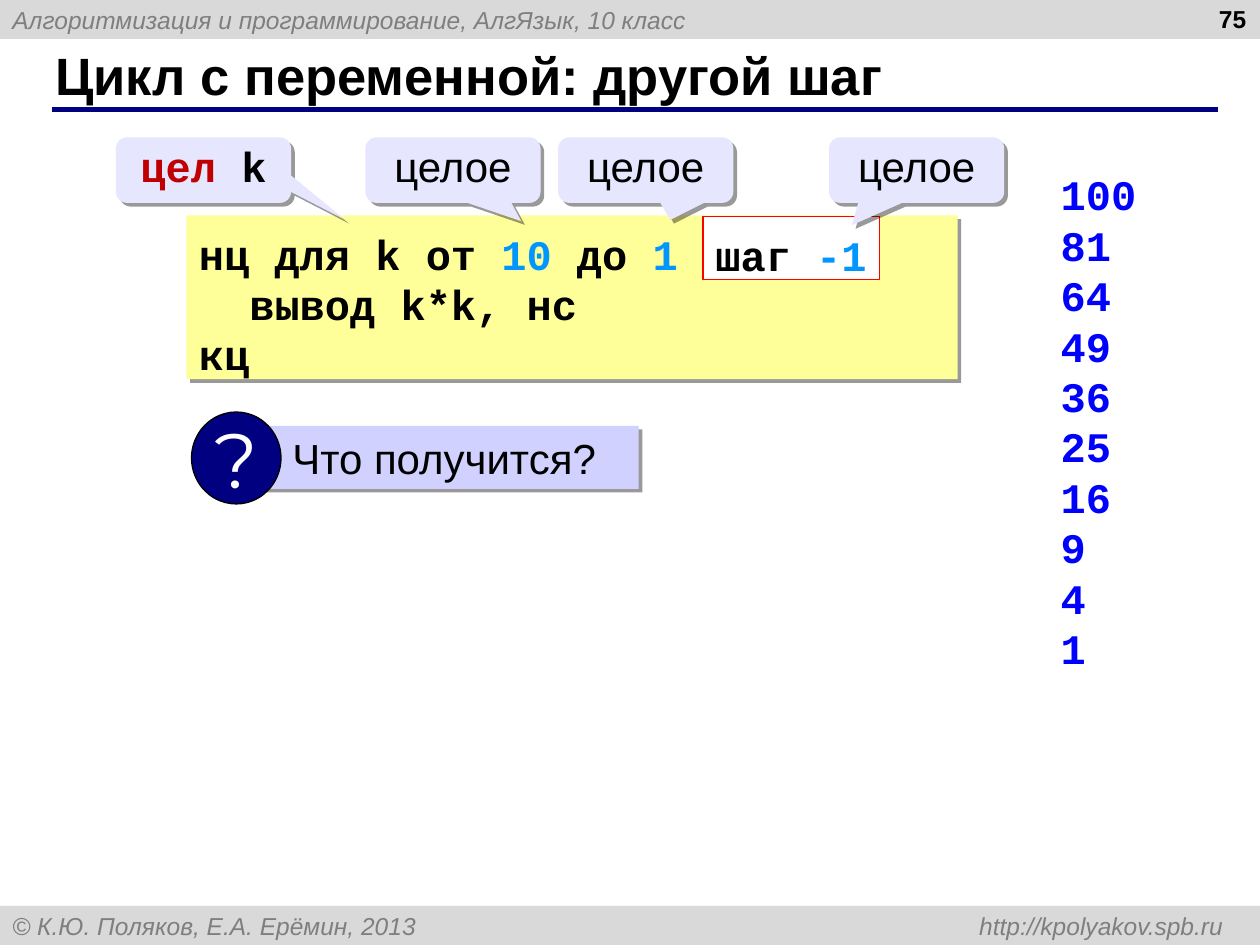
"""Build the slide about a counting loop with a negative step."""
from dataclasses import dataclass

import lxml.etree
import pptx
import pptx.dml.color
import pptx.enum.shapes
import pptx.enum.text
import pptx.oxml.ns
import pptx.util

Inches = pptx.util.Inches
Pt = pptx.util.Pt
Shape = pptx.enum.shapes.MSO_SHAPE
Align = pptx.enum.text.PP_ALIGN
Anchor = pptx.enum.text.MSO_ANCHOR
qn = pptx.oxml.ns.qn

BLACK, GREY, BAND, NAVY = "000000", "7F7F7F", "D9D9D9", "000080"
NUMBER, RESULT, KEYWORD = "0095FF", "0000FF", "C00000"


@dataclass(frozen=True)
class Style:
    size: float = 24
    name: str = "Arial"
    color: str = BLACK
    bold: bool = False
    italic: bool = False
    align: Align = Align.LEFT
    anchor: Anchor = Anchor.MIDDLE
    spacing: float | pptx.util.Length | None = None
    margins: tuple[float, float, float, float] = (0.1, 0.05, 0.1, 0.05)
    wrap: bool = True


@dataclass(frozen=True)
class Callout:
    left: float
    tip: tuple[float, float]
    runs: list[tuple[str, str]]
    style: Style


LINE = Pt(28.8)
CODE = Style(name="Courier New", bold=True, spacing=LINE, margins=(0.1, 0.1, 0.1, 0))
STEP = Style(name="Courier New", bold=True, spacing=LINE, margins=(0.1, 0.1, 0.1, 0),
             anchor=Anchor.TOP, wrap=False)
OUTPUT = Style(name="Courier New", color=RESULT, bold=True, spacing=LINE,
               margins=(0.1, 0.1, 0.1, 0), anchor=Anchor.TOP, wrap=False)
SMALL = Style(14, color=GREY, italic=True)
PAGE = Style(14, bold=True, align=Align.RIGHT, anchor=Anchor.TOP)
TITLE = Style(30, bold=True)
LABEL = Style(align=Align.CENTER, spacing=0.8)
CODE_LABEL = Style(name="Courier New", bold=True, align=Align.CENTER, spacing=0.8)
QUESTION = Style(margins=(0.29, 0.05, 0.1, 0.05))
MARK = Style(44, "Montserrat", "FFFFFF", align=Align.CENTER, wrap=False)

CALLOUTS = [
    Callout(0.92, (0.81, 0.76), [("цел ", KEYWORD), ("k", BLACK)], CODE_LABEL),
    Callout(2.9, (0.39, 0.78), [("целое", BLACK)], LABEL),
    Callout(4.43, (0.14, 0.76), [("целое", BLACK)], LABEL),
    Callout(6.58, (-0.37, 0.84), [("целое", BLACK)], LABEL),
]
LOOP = [
    [("нц для k от ", BLACK), ("10", NUMBER), (" до ", BLACK), ("1", NUMBER)],
    [("  вывод k*k, нс", BLACK)],
    [("кц", BLACK)],
]


def rgb(color: str) -> pptx.dml.color.RGBColor:
    """Turn a hex string into a colour."""
    return pptx.dml.color.RGBColor.from_string(color)


def plain(text: str, style: Style) -> list[list[tuple[str, str]]]:
    """Wrap one string as a single paragraph in the style's colour."""
    return [[(text, style.color)]]


def write(sp, paragraphs: list[list[tuple[str, str]]], style: Style, tab: float = 0) -> None:
    """Fill a shape with paragraphs of coloured runs."""
    tf = sp.text_frame
    tf.word_wrap = style.wrap
    tf.vertical_anchor = style.anchor
    tf.margin_left, tf.margin_top, tf.margin_right, tf.margin_bottom = map(Inches, style.margins)
    for i, runs in enumerate(paragraphs):
        p = tf.add_paragraph() if i else tf.paragraphs[0]
        p.alignment = style.align
        if style.spacing is not None:
            p.line_spacing = style.spacing
        if tab:
            tabs = lxml.etree.SubElement(p._p.get_or_add_pPr(), qn("a:tabLst"))
            lxml.etree.SubElement(tabs, qn("a:tab"), pos=str(Inches(tab)), algn="r")
        p.font.size, p.font.name = Pt(style.size), style.name
        p.font.bold, p.font.italic = style.bold, style.italic
        p.font.color.rgb = rgb(runs[0][1])
        for text, color in runs:
            r = p.add_run()
            r.text = text
            if color != runs[0][1]:
                r.font.color.rgb = rgb(color)


def add_shadow(sp) -> None:
    """Give a shape a hard translucent shadow to the lower right."""
    effects = sp._element.spPr.find(qn("a:effectLst"))
    shadow = lxml.etree.SubElement(effects, qn("a:outerShdw"), dist=str(Pt(3)),
                                   dir="2700000", algn="ctr", rotWithShape="0")
    color = lxml.etree.SubElement(shadow, qn("a:srgbClr"), val=BLACK)
    lxml.etree.SubElement(color, qn("a:alpha"), val="40000")


def add_box(shapes, kind: Shape, box: tuple[float, float, float, float], fill: str,
            line: str | None = None, shadow: bool = False):
    """Draw a filled preset shape."""
    sp = shapes.add_shape(kind, *map(Inches, box))
    sp.shadow.inherit = False
    sp.fill.solid()
    sp.fill.fore_color.rgb = rgb(fill)
    if line:
        sp.line.color.rgb = rgb(line)
        sp.line.width = Pt(0.75)
    else:
        sp.line.fill.background()
    if shadow:
        add_shadow(sp)
    return sp


def add_frame(s) -> None:
    """Draw the bands, the title and its rule, and the page number."""
    header = "Алгоритмизация и программирование, АлгЯзык, 10 класс"
    footer = "© К.Ю. Поляков, Е.А. Ерёмин, 2013\thttp://kpolyakov.spb.ru"
    for top, text, tab in ((0, header, 0), (7.19, footer, 9.61)):
        sp = add_box(s.shapes, Shape.RECTANGLE, (0, top, 10, 0.31), BAND)
        write(sp, plain(text, SMALL), SMALL, tab)
    rule = s.shapes.add_connector(pptx.enum.shapes.MSO_CONNECTOR.STRAIGHT,
                                  *map(Inches, (0.41, 0.87, 9.67, 0.87)))
    rule.line.color.rgb = rgb(NAVY)
    rule.line.width = Pt(3)
    lxml.etree.SubElement(rule._element.spPr, qn("a:effectLst"))
    title = s.shapes.title
    title.left, title.top, title.width, title.height = map(Inches, (0.34, 0.33, 9.16, 0.52))
    write(title, plain("Цикл с переменной: другой шаг", TITLE), TITLE)
    page = s.shapes.add_textbox(*map(Inches, (7.66, -0.02, 2.33, 0.52)))
    write(page, plain("75", PAGE), PAGE)


def add_callout(s, callout: Callout) -> None:
    """Draw one explanatory callout above the loop."""
    sp = add_box(s.shapes, Shape.ROUNDED_RECTANGULAR_CALLOUT,
                 (callout.left, 1.09, 1.39, 0.52), "E6E6FF", shadow=True)
    for i, value in enumerate((*callout.tip, 0.17)):
        sp.adjustments[i] = value
    write(sp, [callout.runs], callout.style)


def add_question(s) -> None:
    """Draw the question bar with its round mark."""
    group = s.shapes.add_group_shape()
    bar = add_box(group.shapes, Shape.RECTANGLE, (2.03, 3.38, 3.04, 0.5), "D1D1FF", shadow=True)
    write(bar, plain("Что получится?", QUESTION), QUESTION)
    mark = add_box(group.shapes, Shape.OVAL, (1.52, 3.27, 0.71, 0.73), NAVY, BLACK)
    write(mark, plain("?", MARK), MARK)


def main() -> None:
    """Build and save the presentation."""
    prs = pptx.Presentation()
    prs.slide_width, prs.slide_height = Inches(10), Inches(7.5)
    s = prs.slides.add_slide(prs.slide_layouts[5])
    add_frame(s)
    loop = add_box(s.shapes, Shape.RECTANGLE, (1.48, 1.71, 6.12, 1.3), "FFFF99", shadow=True)
    write(loop, LOOP, CODE)
    step = add_box(s.shapes, Shape.RECTANGLE, (5.58, 1.72, 1.4, 0.5), "FFFFFF", "FF0000")
    write(step, [[("шаг ", BLACK), ("-1", NUMBER)]], STEP)
    for callout in CALLOUTS:
        add_callout(s, callout)
    squares = s.shapes.add_textbox(*map(Inches, (8.32, 1.24, 0.8, 4.1)))
    write(squares, [[(str(k * k), RESULT)] for k in range(10, 0, -1)], OUTPUT)
    add_question(s)
    prs.save("out.pptx")


if __name__ == "__main__":
    main()
